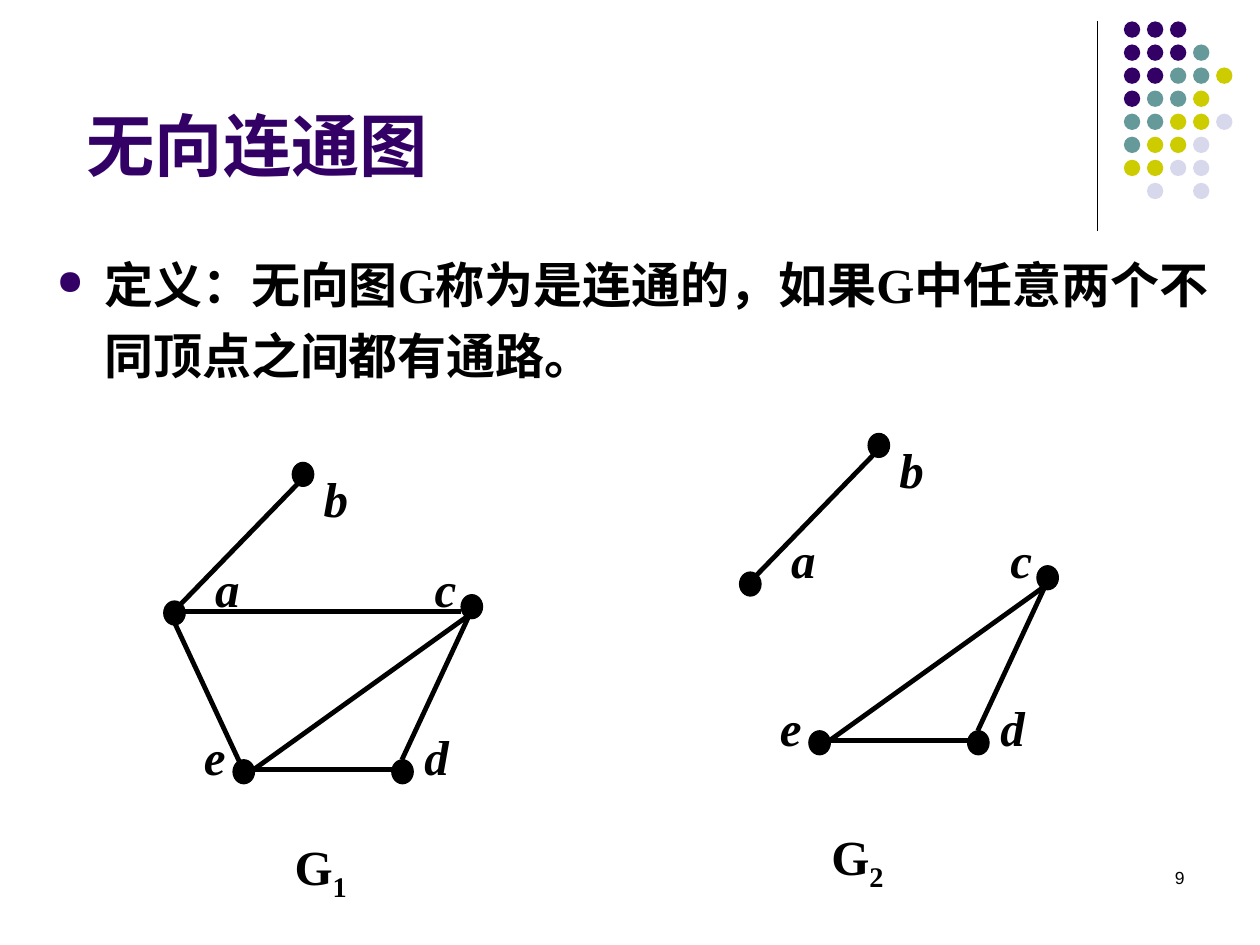
from lxml import etree
from pptx import Presentation
from pptx.dml.color import RGBColor
from pptx.enum.shapes import MSO_CONNECTOR, MSO_SHAPE
from pptx.enum.text import MSO_ANCHOR, PP_ALIGN
from pptx.oxml.ns import qn
from pptx.util import Inches, Pt

OVAL = MSO_SHAPE.OVAL
STRAIGHT = MSO_CONNECTOR.STRAIGHT
BOTTOM, TOP = MSO_ANCHOR.BOTTOM, MSO_ANCHOR.TOP
LEFT, RIGHT = PP_ALIGN.LEFT, PP_ALIGN.RIGHT

BLACK = RGBColor(0x00, 0x00, 0x00)
PURPLE = RGBColor(0x33, 0x00, 0x66)
TEAL = RGBColor(0x66, 0x99, 0x99)
OLIVE = RGBColor(0xCC, 0xCC, 0x00)
LAVENDER = RGBColor(0xD8, 0xD8, 0xEC)
SANS, SERIF = "Arial", "Times New Roman"

# Content
TITLE = "无向连通图"
DEFINITION = "定义：无向图G称为是连通的，如果G中任意两个不同顶点之间都有通路。"
PAGE_NUMBER = "9"

# Corner ornament: one letter per dot, a space for none
DOT_COLORS = {"P": PURPLE, "T": TEAL, "O": OLIVE, "L": LAVENDER}
DOT_ROWS = ["PPP", "PPPT", "PPTTO", "PTTO", "TTOOL", "TOOL", "OOLL", " L L"]
DOT_LEFT, DOT_TOP, DOT_PITCH, DOT_SIZE = 8.92, 0.17, 0.183, 0.13

# Graph geometry, measured from the corner of vertex a
VERTEX_WIDTH, VERTEX_HEIGHT = 0.17, 0.19
VERTICES = {"a": (0, 0), "b": (1.02, -1.1), "c": (2.36, -0.05),
            "d": (1.81, 1.26), "e": (0.55, 1.26)}
LABELS = {"a": (0.31, -0.39), "b": (1.17, -1.1), "c": (2.05, -0.39),
          "d": (1.97, 0.95), "e": (0.22, 0.95)}
EDGES = {"ab": (0.12, 0.04, 1.15, -1.02), "ce": (2.44, 0.1, 0.71, 1.34),
         "cd": (2.44, 0.08, 1.89, 1.26), "ac": (2.36, 0.08, 0.08, 0.08),
         "ae": (0.08, 0.16, 0.63, 1.34), "de": (1.89, 1.34, 0.63, 1.34)}
GRAPHS = [
    {"origin": (1.3, 4.77), "edges": ["ab", "ce", "cd", "ac", "ae", "de"],
     "number": "1", "caption": (2.24, 6.59)},
    {"origin": (5.87, 4.54), "edges": ["ab", "ce", "cd", "de"],
     "number": "2", "caption": (6.5, 6.51)},
]


def add_line(slide, x1, y1, x2, y2, width):
    line = slide.shapes.add_connector(
        STRAIGHT, Inches(x1), Inches(y1), Inches(x2), Inches(y2))
    line.line.color.rgb = BLACK
    line.line.width = Pt(width)
    etree.SubElement(line._element.spPr, qn("a:effectLst"))


def add_oval(slide, left, top, width, height, color, outlined=False):
    oval = slide.shapes.add_shape(
        OVAL, Inches(left), Inches(top), Inches(width), Inches(height))
    oval.shadow.inherit = False
    oval.fill.solid()
    oval.fill.fore_color.rgb = color
    if outlined:
        oval.line.color.rgb = color
        oval.line.width = Pt(0.75)
    else:
        oval.line.fill.background()


def add_text(slide, box, text, size, font=SERIF, color=BLACK, bold=True,
             italic=False, anchor=TOP, align=LEFT):
    frame = slide.shapes.add_textbox(*map(Inches, box)).text_frame
    frame.word_wrap = True
    frame.vertical_anchor = anchor
    paragraph = frame.paragraphs[0]
    paragraph.alignment = align
    paragraph.add_run().text = text
    paragraph.font.name = font
    paragraph.font.size = Pt(size)
    paragraph.font.color.rgb = color
    paragraph.font.bold = bold
    paragraph.font.italic = italic
    return paragraph


def add_bullet(paragraph, color, percent, indent):
    properties = paragraph._p.get_or_add_pPr()
    properties.set("marL", str(Inches(indent)))
    properties.set("indent", str(-Inches(indent)))
    bullet_color = etree.Element(qn("a:buClr"))
    etree.SubElement(bullet_color, qn("a:srgbClr"), val=str(color))
    bullet_size = etree.Element(qn("a:buSzPct"), val=str(percent * 1000))
    bullet = etree.Element(qn("a:buChar"), char="●")
    defaults = properties.find(qn("a:defRPr"))
    for element in (bullet_color, bullet_size, bullet):
        defaults.addprevious(element)


def add_graph(slide, graph):
    x, y = graph["origin"]
    for name in graph["edges"]:
        x1, y1, x2, y2 = EDGES[name]
        add_line(slide, x + x1, y + y1, x + x2, y + y2, 2.75)
    for dx, dy in VERTICES.values():
        add_oval(slide, x + dx, y + dy, VERTEX_WIDTH, VERTEX_HEIGHT, BLACK, True)
    for letter, (dx, dy) in LABELS.items():
        add_text(slide, (x + dx, y + dy, 0.39, 0.57), letter, 28, italic=True)
    caption = add_text(slide, (*graph["caption"], 1.02, 0.63), "G", 28)
    subscript = caption.add_run()
    subscript.text = graph["number"]
    subscript.font._element.set("baseline", "-25000")


def main():
    presentation = Presentation()
    presentation.slide_width, presentation.slide_height = Inches(10), Inches(7.5)
    slide = presentation.slides.add_slide(presentation.slide_layouts[6])

    # Corner ornament
    add_line(slide, 8.71, 0.17, 8.71, 1.83, 0.75)
    for row, letters in enumerate(DOT_ROWS):
        for column, letter in enumerate(letters):
            if letter in DOT_COLORS:
                add_oval(slide, DOT_LEFT + column * DOT_PITCH,
                         DOT_TOP + row * DOT_PITCH, DOT_SIZE, DOT_SIZE,
                         DOT_COLORS[letter])

    # Title, definition and page number
    add_text(slide, (0.59, 0.52, 8.75, 1), TITLE, 39, SANS, PURPLE, anchor=BOTTOM)
    definition = add_text(slide, (0.35, 1.88, 9.65, 1.32), DEFINITION, 28)
    definition.line_spacing = 1.2
    add_bullet(definition, PURPLE, 70, 0.38)
    add_text(slide, (7.17, 6.83, 2.33, 0.5), PAGE_NUMBER, 10, SANS,
             bold=False, align=RIGHT)

    # Graphs
    for graph in GRAPHS:
        add_graph(slide, graph)

    presentation.save("out.pptx")


if __name__ == "__main__":
    main()
